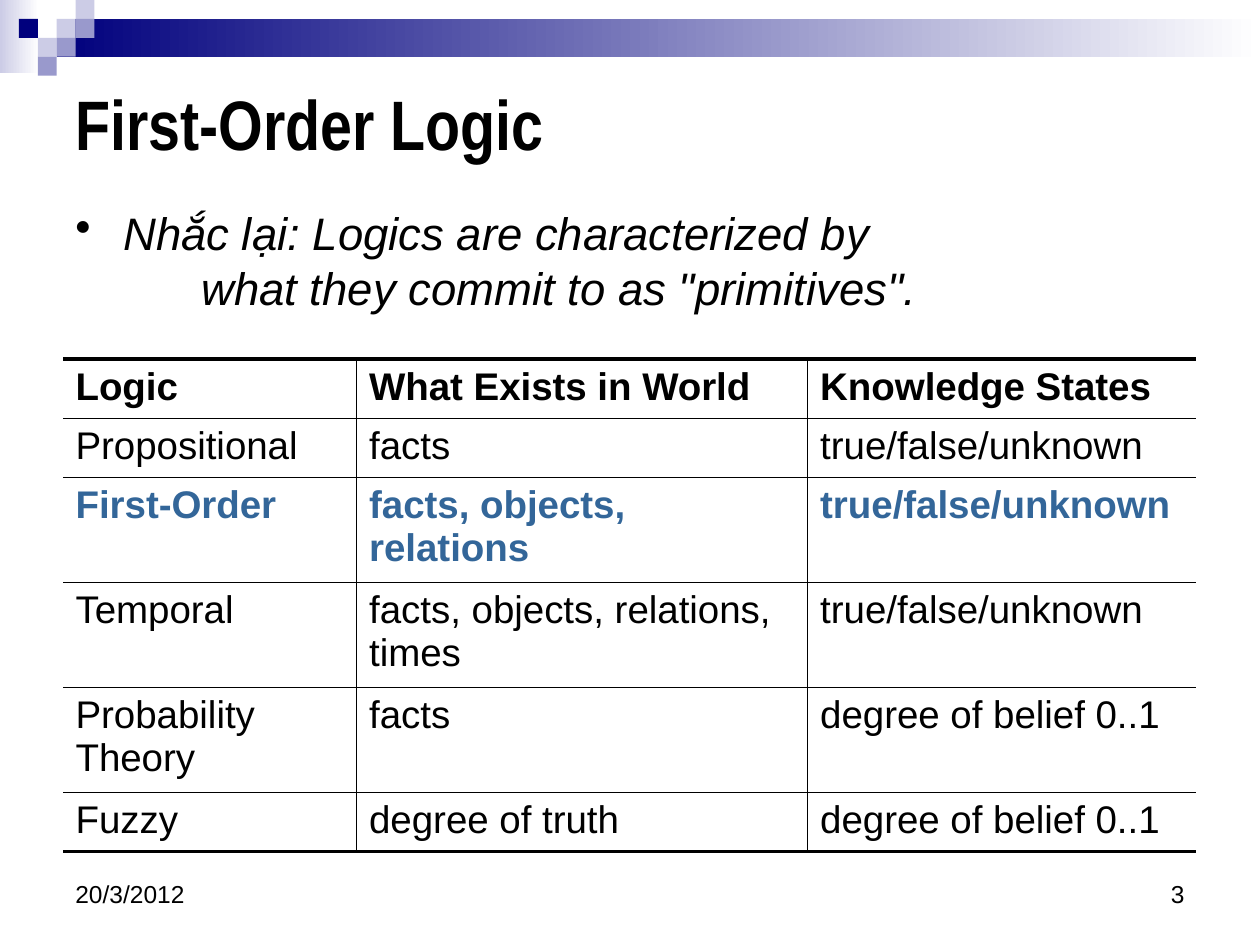
"""Build the First-Order Logic slide with its comparison table."""
from pptx import Presentation, util as u
from pptx.dml.color import RGBColor
from pptx.enum import shapes, text
from lxml import etree

NS = "http://schemas.openxmlformats.org/drawingml/2006/main"
BLACK = RGBColor(0, 0, 0)
WHITE = RGBColor(255, 255, 255)
NAVY = RGBColor(0, 0, 0x7D)
MID = RGBColor(0x99, 0x99, 0xCC)
LIGHT = RGBColor(0xCC, 0xCC, 0xE6)
BLUE = RGBColor(0x33, 0x66, 0x99)

TITLE = "First-Order Logic"
BODY = 'Nhắc lại: Logics are characterized by\n\t\twhat they commit to as "primitives".'
DATE, PAGE = "20/3/2012", "3"
ROWS = [
    ("Logic", "What Exists in World", "Knowledge States"),
    ("Propositional", "facts", "true/false/unknown"),
    ("First-Order", "facts, objects,\nrelations", "true/false/unknown"),
    ("Temporal", "facts, objects, relations, times", "true/false/unknown"),
    ("Probability Theory", "facts", "degree of belief 0..1"),
    ("Fuzzy", "degree of truth", "degree of belief 0..1"),
]
STRONG = {0: BLACK, 2: BLUE}
WIDTHS = (2.33, 3.58, 3.08)
LOW, HIGH = 0.47, 0.83
TALL = (2, 3, 4)

UNIT = 0.15
BANDS = [((0, 0, 0.31, 0.58), LIGHT), ((3 * UNIT, UNIT, 9.55, 2 * UNIT), NAVY)]
TILES = [(3, 1, LIGHT), (4, 0, LIGHT), (4, 1, MID), (2, 2, LIGHT),
         (1, 1, NAVY), (3, 2, MID), (2, 3, MID)]
EDGE, SIDE, WIDE = 0.5, 2.33, 9


def write(frame, words, size=14, font="Arial", color=BLACK, bold=False,
          italic=False, align=text.PP_ALIGN.LEFT, anchor=text.MSO_ANCHOR.MIDDLE):
    """Fill a text frame with one formatted paragraph and return it."""
    frame.word_wrap = True
    frame.vertical_anchor = anchor
    para = frame.paragraphs[0]
    para.alignment = align
    for i, line in enumerate(words.split("\n")):
        if i:
            para.add_line_break()
        run = para.add_run()
        run.text = line
        run.font.size, run.font.name = u.Pt(size), font
        run.font.bold, run.font.italic = bold, italic
        run.font.color.rgb = color
    return para


def box(slide, *place):
    """Add a text box and return its frame."""
    return slide.shapes.add_textbox(*map(u.Inches, place)).text_frame


def block(slide, place, color, fade=False):
    """Add a plain rectangle, faded to white on request."""
    rect = slide.shapes.add_shape(shapes.MSO_SHAPE.RECTANGLE, *map(u.Inches, place))
    rect.shadow.inherit = False
    rect.line.fill.background()
    if fade:
        rect.fill.gradient()
        rect.fill.gradient_angle = 0
        for stop, tone, spot in zip(rect.fill.gradient_stops, (color, WHITE), (0, 1)):
            stop.color.rgb, stop.position = tone, spot
    else:
        rect.fill.solid()
        rect.fill.fore_color.rgb = color


def rule(cell, side, width):
    """Draw one cell border, or none when the width is zero."""
    props = cell._tc.get_or_add_tcPr()
    line = etree.SubElement(props, f"{{{NS}}}ln{side}", w=str(u.Pt(width)))
    if width:
        fill = etree.SubElement(line, f"{{{NS}}}solidFill")
        etree.SubElement(fill, f"{{{NS}}}srgbClr", val=str(BLACK))
    else:
        etree.SubElement(line, f"{{{NS}}}noFill")


def bullet(para, dent):
    """Give a paragraph a hanging bullet."""
    props = para._p.get_or_add_pPr()
    props.set("marL", str(u.Inches(dent)))
    props.set("indent", str(u.Inches(-dent)))
    etree.SubElement(props, f"{{{NS}}}buChar", char="•")


def grid(slide):
    """Add the table of logics."""
    tall = [HIGH if r in TALL else LOW for r in range(len(ROWS))]
    place = (EDGE, 2.85, sum(WIDTHS), sum(tall))
    table = slide.shapes.add_table(len(ROWS), len(WIDTHS), *map(u.Inches, place)).table
    table.first_row = table.horz_banding = False
    for col, width in zip(table.columns, WIDTHS):
        col.width = u.Inches(width)
    last, end = len(ROWS) - 1, len(WIDTHS) - 1
    for r, row in enumerate(ROWS):
        table.rows[r].height = u.Inches(tall[r])
        for c, words in enumerate(row):
            cell = table.cell(r, c)
            write(cell.text_frame, words, size=22, bold=r in STRONG,
                  color=STRONG.get(r, BLACK), anchor=text.MSO_ANCHOR.TOP)
            rule(cell, "L", 1 if c else 0)
            rule(cell, "R", 1 if c < end else 0)
            rule(cell, "T", 1 if r else 2.25)
            rule(cell, "B", 1 if r < last else 2.25)
            cell.fill.background()


def main():
    """Assemble and save the slide."""
    deck = Presentation()
    deck.slide_width, deck.slide_height = u.Inches(10), u.Inches(7.5)
    slide = deck.slides.add_slide(deck.slide_layouts[6])
    for place, color in BANDS:
        block(slide, place, color, fade=True)
    for col, row, color in TILES:
        block(slide, (col * UNIT, row * UNIT, UNIT, UNIT), color)
    write(box(slide, EDGE, 0.45, WIDE, 1.05), TITLE, size=40,
          font="Arial Narrow", bold=True)
    para = write(box(slide, EDGE, 1.58, WIDE, 1.08), BODY, size=26,
                 italic=True, anchor=text.MSO_ANCHOR.TOP)
    para.space_before = u.Pt(8)
    bullet(para, 0.38)
    grid(slide)
    write(box(slide, EDGE, 6.92, SIDE, 0.35), DATE)
    write(box(slide, EDGE + WIDE - SIDE, 6.92, SIDE, 0.35), PAGE,
          align=text.PP_ALIGN.RIGHT)
    deck.save("out.pptx")


if __name__ == "__main__":
    main()
